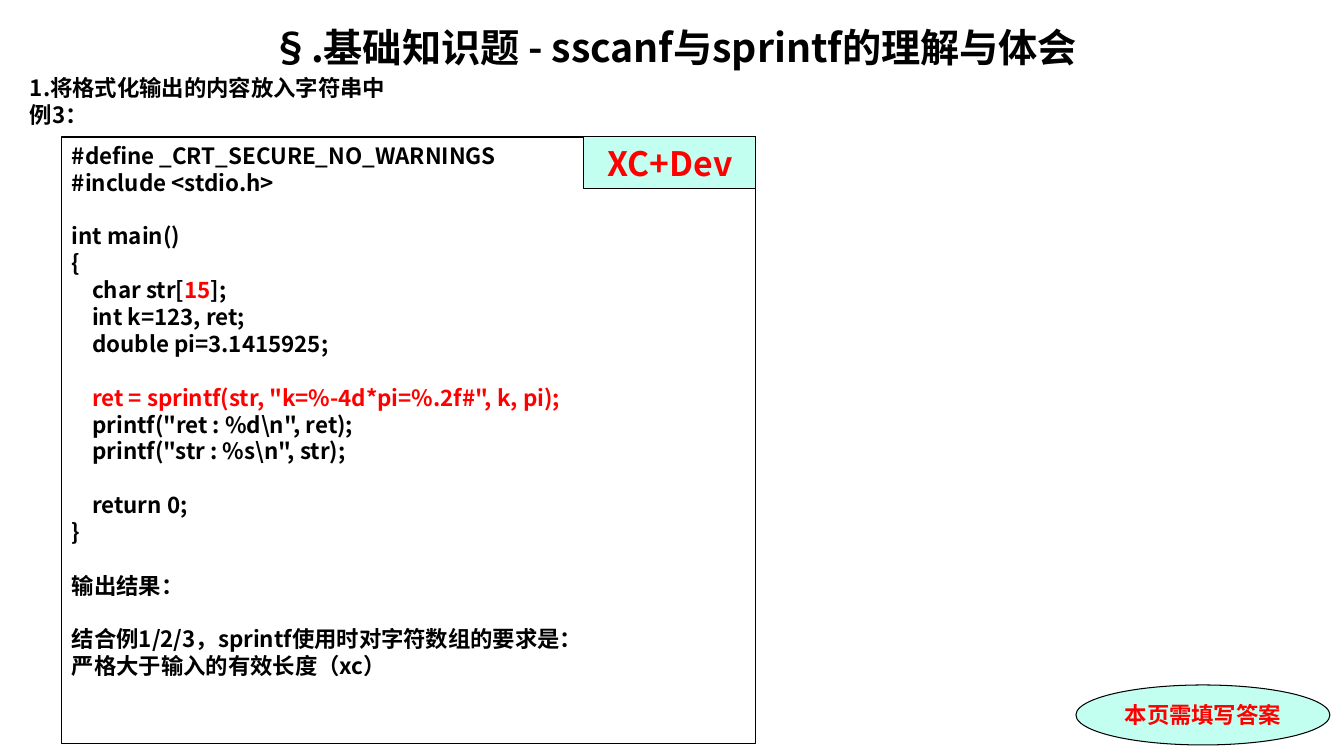
from dataclasses import dataclass

from lxml.etree import SubElement
from pptx import Presentation
from pptx.dml.color import RGBColor
from pptx.enum.shapes import MSO_SHAPE as Shape
from pptx.enum.text import MSO_ANCHOR as Anchor, PP_ALIGN as Align
from pptx.oxml.ns import qn
from pptx.util import Emu, Pt

EMU_PER_PX = 914400 / 100.8


@dataclass(frozen=True)
class Theme:
    black: str = "000000"
    red: str = "FF0000"
    mint: str = "C2FFF0"
    sans: str = "Noto Sans CJK SC"
    serif: str = "Times New Roman"
    title: int = 28
    badge: int = 24
    body: int = 16
    outline: float = 0.75
    leading: float = 1.2


THEME = Theme()


def px(length):
    return Emu(round(length * EMU_PER_PX))


def write(paragraph, text, size=THEME.body, color=THEME.black, latin=THEME.sans,
          align=Align.LEFT, before=0):
    """Add one bold run and set the spacing of its line."""
    paragraph.alignment = align
    paragraph.line_spacing = Pt(size * THEME.leading)
    paragraph.space_before = Pt(before)
    run = paragraph.add_run()
    run.text = text
    run.font.size = Pt(size)
    run.font.bold = True
    run.font.color.rgb = RGBColor.from_string(color)
    run.font.name = latin
    SubElement(run.font._element, qn("a:ea"), typeface=THEME.sans)


def next_paragraph(frame):
    first = frame.paragraphs[0]
    return frame.add_paragraph() if first.runs else first


class SlideBuilder:
    def __init__(self, slide, theme):
        self.slide = slide
        self.theme = theme

    def text_area(self, *box):
        frame = self.slide.shapes.add_textbox(*map(px, box)).text_frame
        frame.word_wrap = True
        return frame

    def panel(self, kind, *box, fill=None, anchor=Anchor.MIDDLE):
        panel = self.slide.shapes.add_shape(kind, *map(px, box))
        panel.shadow.inherit = False
        if fill:
            panel.fill.solid()
            panel.fill.fore_color.rgb = RGBColor.from_string(fill)
        else:
            panel.fill.background()
        panel.line.color.rgb = RGBColor.from_string(self.theme.black)
        panel.line.width = Pt(self.theme.outline)
        panel.text_frame.vertical_anchor = anchor
        panel.text_frame.word_wrap = True
        return panel.text_frame

    def label(self, kind, *box, text, **style):
        frame = self.panel(kind, *box, fill=self.theme.mint)
        write(frame.paragraphs[0], text, color=self.theme.red,
              align=Align.CENTER, **style)

    def listing(self, *box, blocks):
        """Blocks of lines, one empty line's height apart; ‖ toggles red."""
        frame = self.panel(Shape.RECTANGLE, *box, anchor=Anchor.TOP)
        gap = self.theme.body * self.theme.leading
        for block_no, block in enumerate(blocks):
            for line_no, line in enumerate(block.split("\n")):
                paragraph = next_paragraph(frame)
                before = gap if block_no and not line_no else 0
                for part_no, part in enumerate(line.split("‖")):
                    if part:
                        color = self.theme.red if part_no % 2 else self.theme.black
                        write(paragraph, part, color=color, before=before)


EXAMPLE = [
    "#define _CRT_SECURE_NO_WARNINGS\n#include <stdio.h>",
    "int main()\n{\n    char str[‖15‖];\n    int k=123, ret;\n    double pi=3.1415925;",
    '‖    ret = sprintf(str, "k=%-4d*pi=%.2f#", k, pi);‖\n'
    r'    printf("ret : %d\n", ret);' "\n"
    r'    printf("str : %s\n", str);',
    "    return 0;\n}",
    "输出结果：",
    "结合例1/2/3，sprintf使用时对字符数组的要求是：\n严格大于输入的有效长度（xc）",
]


def main():
    deck = Presentation()
    deck.slide_width, deck.slide_height = px(1344), px(756)
    page = SlideBuilder(deck.slides.add_slide(deck.slide_layouts[6]), THEME)

    # Heading and topic
    heading = page.text_area(20, 18, 1309, 115)
    write(next_paragraph(heading), "§.基础知识题 - sscanf与sprintf的理解与体会",
          size=THEME.title, align=Align.CENTER)
    write(next_paragraph(heading), "1.将格式化输出的内容放入字符串中", before=3.2)
    write(next_paragraph(heading), "例3：")

    # Example program and questions
    page.listing(62, 137, 694, 607, blocks=EXAMPLE)

    # Answer reminder and compiler badge
    page.label(Shape.OVAL, 1076, 685, 254, 60, text="本页需填写答案", latin=THEME.serif)
    page.label(Shape.RECTANGLE, 584, 137, 172, 52, text="XC+Dev", size=THEME.badge)

    deck.save("out.pptx")


if __name__ == "__main__":
    main()
